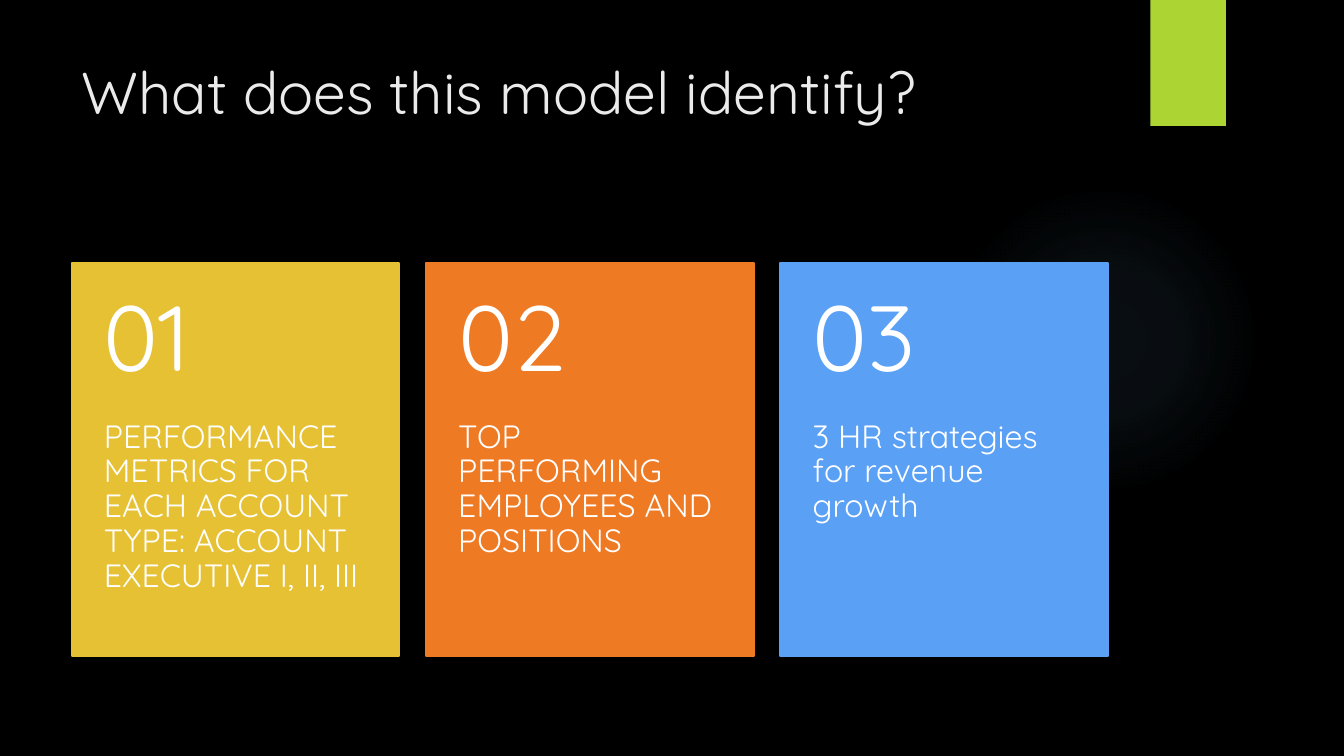
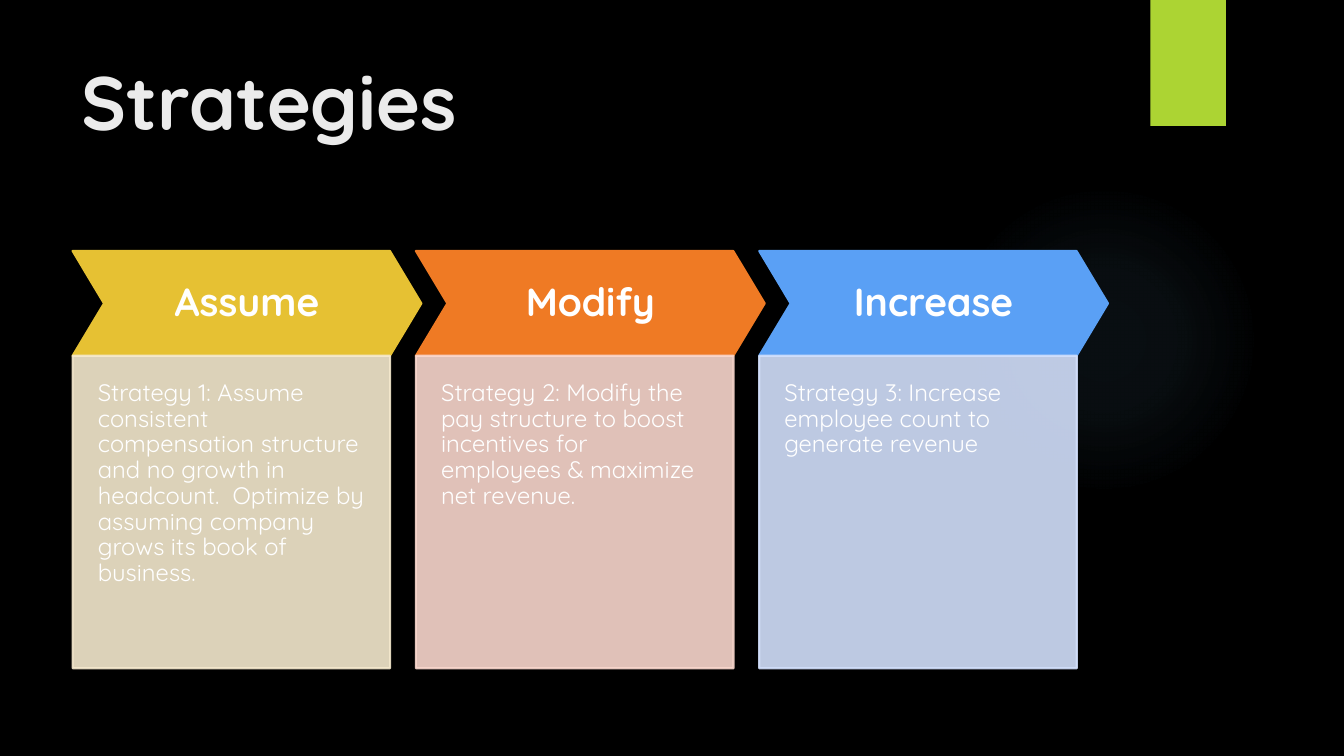
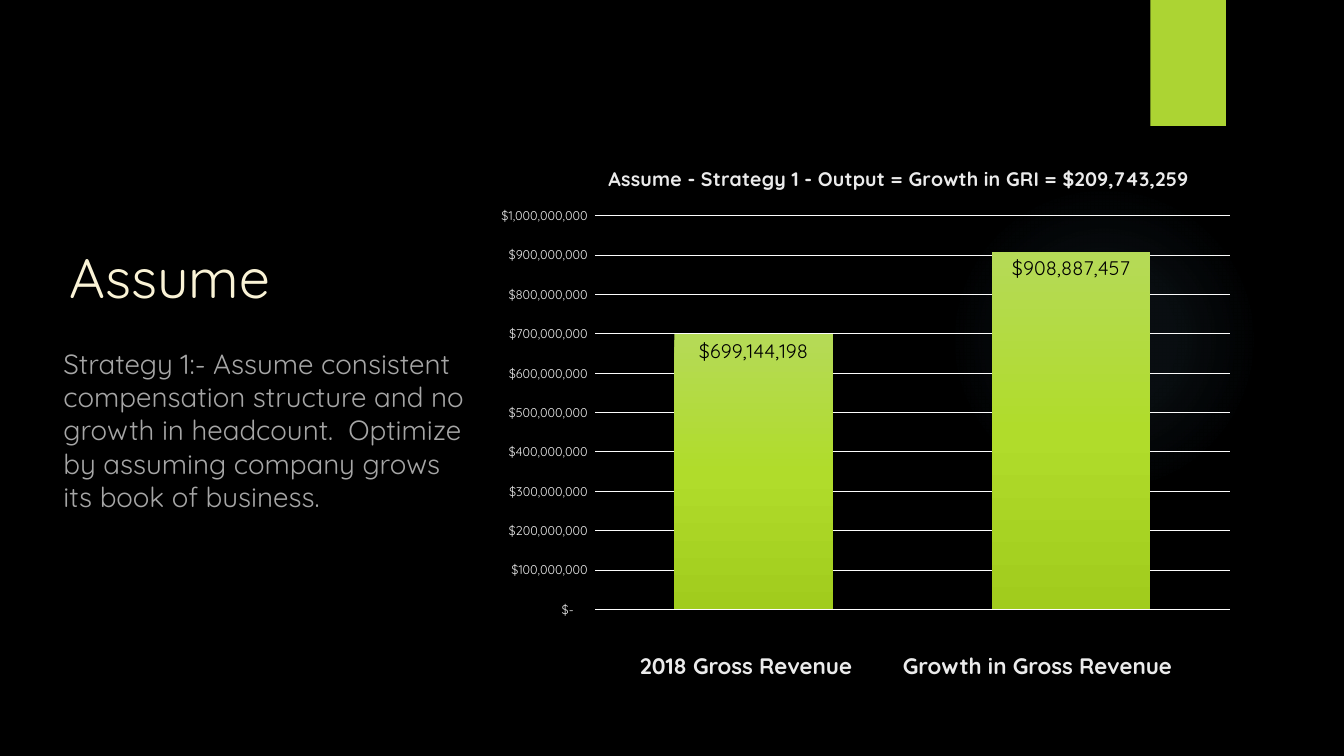
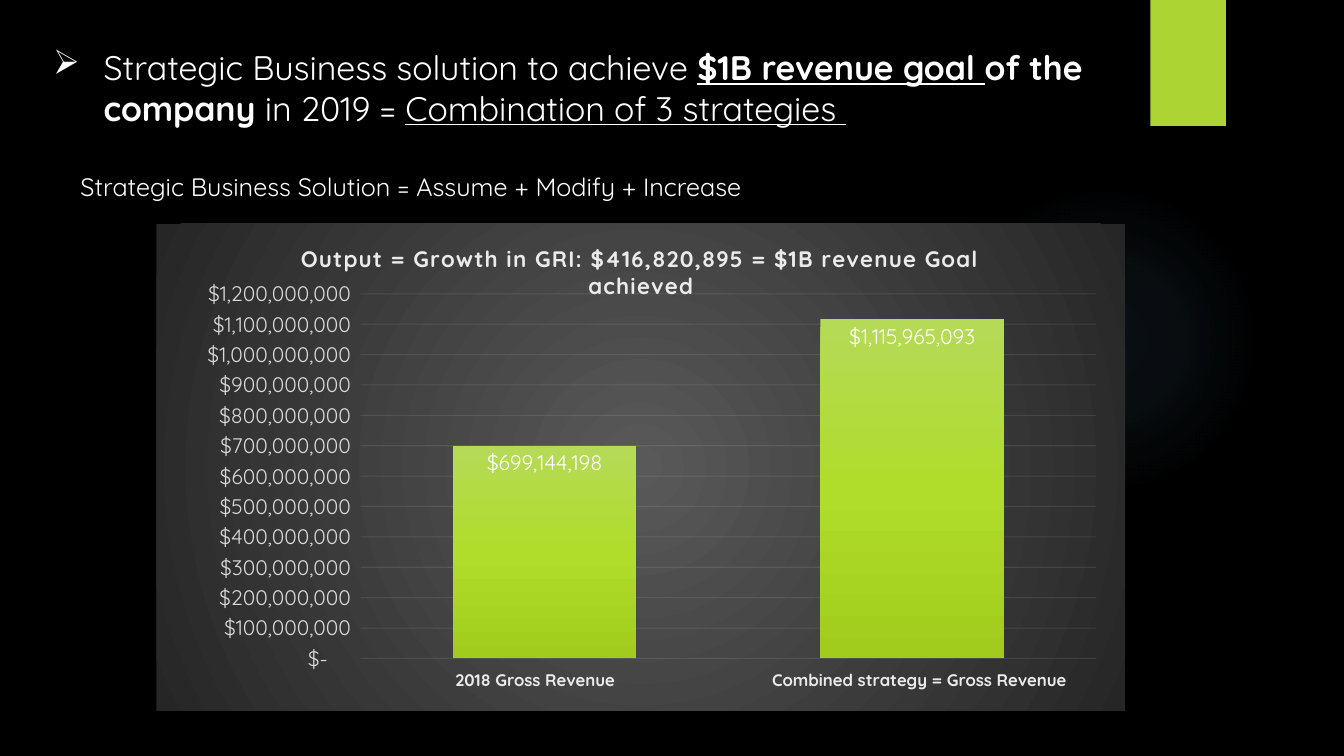
import pptx
import pptx.chart.data
import pptx.dml.color
import pptx.enum.chart
import pptx.enum.shapes
import pptx.enum.text
import pptx.oxml
import pptx.oxml.ns
import pptx.util

Inches, Pt = pptx.util.Inches, pptx.util.Pt
RGB = pptx.dml.color.RGBColor.from_string
SHAPE = pptx.enum.shapes.MSO_SHAPE
ALIGN = pptx.enum.text.PP_ALIGN
ANCHOR = pptx.enum.text.MSO_ANCHOR
qn, nsdecls = pptx.oxml.ns.qn, pptx.oxml.ns.nsdecls

FONT = "Quicksand"
COLORS = {
    "background": "000000", "band": "ACD433", "glow": "7AC4F0",
    "title": "EBEBEB", "text": "FFFFFF", "cream": "FAF3D6", "muted": "A6A6A6",
    "axis": "D9D9D9", "grid": "FCFCFC", "faint_grid": "F2F2F2",
    "bar_top": "B5DA57", "bar_middle": "B0DC2B", "bar_foot": "A1CC1D",
    "chart_center": "595959", "chart_edge": "262626",
}
ACCENTS = ["E6C133", "EF7A24", "5AA0F5"]
TINTS = ["F5E9CE", "F9D7CD", "D2DFFB"]
MONEY = r'_("$"* #,##0_);_("$"* \(#,##0\);_("$"* "-"??_);_(@_)'


def write(frame, runs, inset=(0.1, 0.05, 0.1, 0.05), anchor=ANCHOR.TOP,
          align=ALIGN.LEFT, spacing=None):
    """Fill a frame with one paragraph; a run is text, size, colour, bold, underline."""
    frame.word_wrap = True
    frame.vertical_anchor = anchor
    (frame.margin_left, frame.margin_top,
     frame.margin_right, frame.margin_bottom) = [Inches(side) for side in inset]
    paragraph = frame.paragraphs[0]
    paragraph.alignment = align
    paragraph.line_spacing = spacing
    for text, size, color, bold, underline in runs:
        run = paragraph.add_run()
        run.text = text
        run.font.name = FONT
        run.font.size = Pt(size)
        run.font.color.rgb = RGB(color)
        run.font.bold = bold
        run.font.underline = underline
    return paragraph


def gradient(stops, circular):
    """Build a gradient fill from (position, colour, opacity) stops in percent."""
    marks = "".join(
        f'<a:gs pos="{pos * 1000}"><a:srgbClr val="{color}">'
        f'<a:alpha val="{opacity * 1000}"/></a:srgbClr></a:gs>'
        for pos, color, opacity in stops)
    direction = ('<a:path path="circle"><a:fillToRect l="50000" t="50000" r="50000" b="50000"/></a:path>'
                 if circular else '<a:lin ang="5400000" scaled="0"/>')
    return pptx.oxml.parse_xml(
        f'<a:gradFill {nsdecls("a")} rotWithShape="1"><a:gsLst>{marks}</a:gsLst>{direction}</a:gradFill>')


prs = pptx.Presentation()
prs.slide_width, prs.slide_height = Inches(13.33), Inches(7.5)
prs.slide_master.background.fill.solid()
prs.slide_master.background.fill.fore_color.rgb = RGB(COLORS["background"])
blank = prs.slide_layouts[6]
identify, strategies, assume, solution = [prs.slides.add_slide(blank) for _ in range(4)]

# Glow and green band, moved to the layout all slides share
glow = identify.shapes.add_shape(SHAPE.OVAL, Inches(9.41), Inches(1.83), Inches(3.08), Inches(3.08))
glow.element.spPr.find(qn("a:prstGeom")).addnext(
    gradient([(0, COLORS["glow"], 7), (36, COLORS["glow"], 6), (69, COLORS["glow"], 0)], True))
band = identify.shapes.add_shape(SHAPE.RECTANGLE, Inches(11.41), 0, Inches(0.75), Inches(1.25))
band.fill.solid()
band.fill.fore_color.rgb = RGB(COLORS["band"])
for decoration in (glow, band):
    decoration.shadow.inherit = False
    decoration.line.fill.background()
    blank.shapes.element.append(decoration.element)

# Headings of the first two slides
for slide, heading, size, bold in [(identify, "What does this model identify?", 42, False),
                                   (strategies, "Strategies", 54, True)]:
    title = slide.shapes.add_textbox(Inches(0.71), Inches(0.5), Inches(10.29), Inches(1.53))
    write(title.text_frame, [(heading, size, COLORS["title"], bold, False)])

# Slide 1: numbered cards
findings = [
    "PERFORMANCE METRICS FOR EACH ACCOUNT TYPE: ACCOUNT EXECUTIVE I, II, III",
    "TOP PERFORMING EMPLOYEES AND POSITIONS",
    "3 HR strategies for revenue growth",
]
for i, (finding, accent) in enumerate(zip(findings, ACCENTS)):
    left = Inches(0.71 + i * 3.515)
    card = identify.shapes.add_shape(SHAPE.RECTANGLE, left, Inches(2.61), Inches(3.25), Inches(3.9))
    card.shadow.inherit = False
    card.fill.solid()
    card.fill.fore_color.rgb = RGB(accent)
    card.line.color.rgb = RGB(accent)
    card.line.width = Pt(1.5)
    write(card.text_frame, [(finding, 23, COLORS["text"], False, False)],
          (0.32, 1.56, 0.32, 0.36), spacing=0.9)
    number = identify.shapes.add_textbox(left, Inches(2.61), Inches(3.25), Inches(1.56))
    write(number.text_frame, [(f"{i + 1:02}", 66, COLORS["text"], False, False)],
          (0.32, 0.18, 0.32, 0.18), ANCHOR.MIDDLE, spacing=0.9)

# Slide 2: chevrons with a panel below each
steps = [
    ("Assume", "Strategy 1: Assume consistent compensation structure and no growth in headcount. "
               " Optimize by assuming company grows its book of business."),
    ("Modify", "Strategy 2: Modify the pay structure to boost incentives for employees & maximize net revenue."),
    ("Increase", "Strategy 3: Increase employee count to generate revenue"),
]
for i, (name, detail) in enumerate(steps):
    left = Inches(0.72 + i * 3.405)
    chevron = strategies.shapes.add_shape(SHAPE.CHEVRON, left, Inches(2.49), Inches(3.46), Inches(1.04))
    chevron.adjustments[0] = 0.3
    panel = strategies.shapes.add_shape(SHAPE.RECTANGLE, left, Inches(3.53), Inches(3.15), Inches(3.1))
    for part, color in [(chevron, ACCENTS[i]), (panel, TINTS[i])]:
        part.shadow.inherit = False
        part.fill.solid()
        part.fill.fore_color.rgb = RGB(color)
        part.line.color.rgb = RGB(color)
        part.line.width = Pt(1.5)
    for color in panel.element.spPr.iter(qn("a:srgbClr")):
        color.append(pptx.oxml.parse_xml(f'<a:alpha {nsdecls("a")} val="90000"/>'))
    write(chevron.text_frame, [(name, 28, COLORS["text"], True, False)],
          (0, 0.13, 0, 0.13), ANCHOR.MIDDLE, ALIGN.CENTER, 0.9)
    write(panel.text_frame, [(detail, 17, COLORS["text"], False, False)],
          (0.25, 0.25, 0.25, 0.5), spacing=0.9)

# Slide 3: heading and description
heading = assume.shapes.add_textbox(Inches(0.59), Inches(2.36), Inches(4.15), Inches(0.8))
write(heading.text_frame, [("Assume", 39.6, COLORS["cream"], False, False)])
description = assume.shapes.add_textbox(Inches(0.53), Inches(3.39), Inches(4.21), Inches(1.8))
write(description.text_frame, [
    ("Strategy 1:- Assume consistent compensation structure and no growth in headcount. "
     " Optimize by assuming company grows its book of business.", 19.8, COLORS["muted"], False, False)])

# Slide 4: bulleted heading and formula
heading = solution.shapes.add_textbox(Inches(0.43), Inches(0.41), Inches(11), Inches(1.09))
goal = write(heading.text_frame, [
    ("Strategic Business solution to achieve ", 24.3, COLORS["text"], False, False),
    ("$1B revenue goal ", 24.3, COLORS["text"], True, True),
    ("of the company", 24.3, COLORS["text"], True, False),
    (" in 2019 = ", 24.3, COLORS["text"], False, False),
    ("Combination of 3 strategies ", 24.3, COLORS["text"], False, True),
])
goal_properties = heading.text_frame.paragraphs[0]._p.get_or_add_pPr()
goal_properties.set("marL", str(Inches(0.5)))
goal_properties.set("indent", str(Inches(-0.5)))
goal_properties.append(pptx.oxml.parse_xml(f'<a:buChar {nsdecls("a")} char="➢"/>'))
formula = solution.shapes.add_textbox(Inches(0.7), Inches(1.65), Inches(11.6), Inches(0.4))
write(formula.text_frame, [("Strategic Business Solution = Assume + Modify + Increase",
                            18, COLORS["text"], False, False)])

# Slides 3 and 4: revenue charts; bar captions are (text, centre)
revenue_charts = [
    dict(slide=assume, box=(4.79, 1.14, 7.56, 5.66), values=(699144198, 908887457), top=1000000000,
         title="Assume - Strategy 1 - Output = Growth in GRI = $209,743,259", title_size=14,
         title_gap=0, title_at=(0.16, 0.08), plot_at=(0.147, 0.177, 0.833, 0.69),
         axis_size=9, axis_color=COLORS["title"], grid=COLORS["grid"], grid_opacity=100,
         label_size=14, label_color=COLORS["background"], backdrop=None, caption_size=16, caption_y=6.6,
         captions=[("2018 Gross Revenue", 7.4), ("Growth in Gross Revenue", 10.29)]),
    dict(slide=solution, box=(1.55, 2.22, 9.61, 4.83), values=(699144198, 1115965093), top=1200000000,
         title="Output = Growth in GRI: $416,820,895 = $1B revenue Goal achieved", title_size=16,
         title_gap=100, title_at=None, plot_at=(0.211, 0.144, 0.759, 0.749),
         axis_size=15, axis_color=COLORS["axis"], grid=COLORS["faint_grid"], grid_opacity=10,
         label_size=15.1, label_color=COLORS["text"],
         backdrop=[(0, COLORS["chart_center"], 100), (100, COLORS["chart_edge"], 100)],
         caption_size=12, caption_y=6.74,
         captions=[("2018 Gross Revenue", 5.31), ("Combined strategy = Gross Revenue", 9.12)]),
]
for spot in revenue_charts:
    revenue = pptx.chart.data.CategoryChartData()
    revenue.categories = ["1", "2"]
    revenue.add_series("Series 1", spot["values"])
    chart = spot["slide"].shapes.add_chart(
        pptx.enum.chart.XL_CHART_TYPE.COLUMN_CLUSTERED,
        *[Inches(length) for length in spot["box"]], revenue).chart
    chart.has_legend = False
    chart.font.name = FONT
    chart.font.size = Pt(10)
    chart.font.color.rgb = RGB(COLORS["text"])
    chart.has_title = True
    write(chart.chart_title.text_frame,
          [(spot["title"], spot["title_size"], COLORS["title"], True, False)], align=ALIGN.CENTER)
    root = chart.element
    for properties in root.find(".//" + qn("c:title")).iter(qn("a:rPr")):
        properties.set("spc", str(spot["title_gap"]))

    # Axes
    chart.category_axis.visible = False
    axis = chart.value_axis
    axis.minimum_scale, axis.maximum_scale, axis.major_unit = 0, spot["top"], 100000000
    axis.major_tick_mark = pptx.enum.chart.XL_TICK_MARK.NONE
    axis.format.line.fill.background()
    axis.major_gridlines.format.line.color.rgb = RGB(spot["grid"])
    axis.major_gridlines.format.line.width = Pt(0.75)
    for color in root.find(".//" + qn("c:majorGridlines")).iter(qn("a:srgbClr")):
        color.append(pptx.oxml.parse_xml(
            f'<a:alpha {nsdecls("a")} val="{spot["grid_opacity"] * 1000}"/>'))

    # Bars and their values
    plot = chart.plots[0]
    plot.gap_width, plot.overlap, plot.vary_by_categories = 100, -24, False
    plot.has_data_labels = True
    plot.data_labels.show_value = True
    plot.data_labels.position = pptx.enum.chart.XL_LABEL_POSITION.INSIDE_END
    root.find(".//" + qn("c:ser")).get_or_add_spPr().append(gradient(
        [(0, COLORS["bar_top"], 100), (50, COLORS["bar_middle"], 100), (100, COLORS["bar_foot"], 100)], False))
    for labels, size, color in [(axis.tick_labels, spot["axis_size"], spot["axis_color"]),
                                (plot.data_labels, spot["label_size"], spot["label_color"])]:
        labels.number_format = MONEY
        labels.number_format_is_linked = False
        labels.font.name = FONT
        labels.font.size = Pt(size)
        labels.font.color.rgb = RGB(color)

    # Places of title and plot
    for tag, index, place in [("c:title", 1, spot["title_at"]), ("c:plotArea", 0, spot["plot_at"])]:
        if place is None:
            continue
        area = root.find(".//" + qn(tag))
        for old_layout in area.findall(qn("c:layout")):
            area.remove(old_layout)
        target = '<c:layoutTarget val="inner"/>' if tag == "c:plotArea" else ""
        modes = "".join(f'<c:{side}Mode val="edge"/>' for side in "xy")
        sizes = "".join(f'<c:{side} val="{share}"/>' for side, share in zip("xywh", place))
        area.insert(index, pptx.oxml.parse_xml(
            f'<c:layout {nsdecls("c")}><c:manualLayout>{target}{modes}{sizes}</c:manualLayout></c:layout>'))

    # Chart background
    backdrop = pptx.oxml.parse_xml(
        f'<c:spPr {nsdecls("c", "a")}><a:noFill/><a:ln><a:noFill/></a:ln></c:spPr>')
    if spot["backdrop"]:
        backdrop.replace(backdrop[0], gradient(spot["backdrop"], True))
    root.find(qn("c:chart")).addnext(backdrop)

    # Captions under the bars
    for text, center in spot["captions"]:
        caption = spot["slide"].shapes.add_textbox(
            Inches(center - 1.7), Inches(spot["caption_y"] - 0.2), Inches(3.4), Inches(0.4))
        write(caption.text_frame, [(text, spot["caption_size"], COLORS["title"], True, False)],
              anchor=ANCHOR.MIDDLE, align=ALIGN.CENTER)

prs.save("out.pptx")
